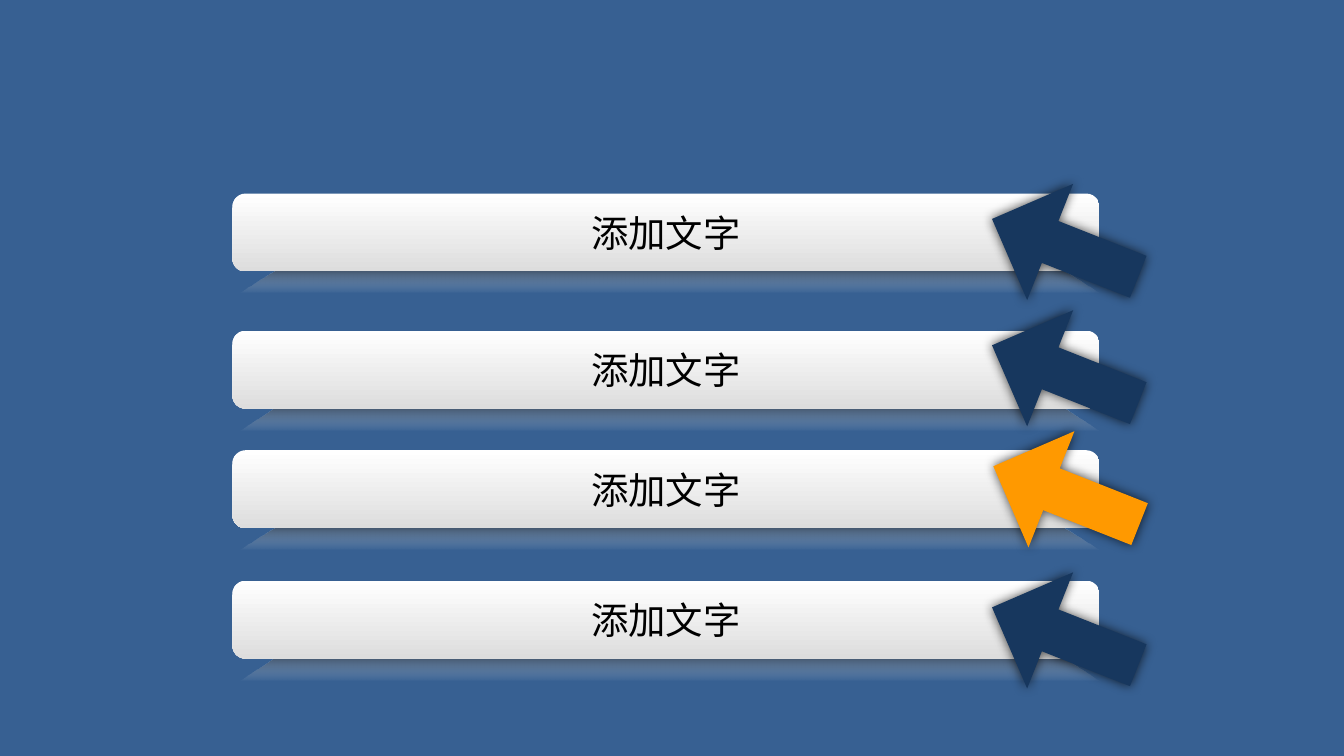
from lxml import etree
from pptx import Presentation
from pptx import util as u
from pptx.dml.color import RGBColor
from pptx.enum import shapes, text
from pptx.oxml.ns import qn

COLORS = {
    "background": "376092",
    "white": "FFFFFF",
    "silver": "DDDDDD",
    "black": "000000",
    "navy": "17375E",
    "orange": "FF9900",
}


class Deck:
    font = "Calibri"
    size = 20

    def __init__(self, width):
        self.prs = Presentation()
        self.prs.slide_width = u.Inches(width)
        self.prs.slide_height = u.Inches(width * 9 / 16)
        self.s = self.prs.slides.add_slide(self.prs.slide_layouts[6])
        self.solid(self.s.background.fill, "background")

    def color(self, name):
        return RGBColor.from_string(COLORS[name])

    def solid(self, fill, name):
        fill.solid()
        fill.fore_color.rgb = self.color(name)

    def gradient(self, sp, names, opacities=()):
        sp.fill.gradient()
        sp.fill.gradient_angle = 270
        for stop, name, position in zip(sp.fill.gradient_stops, names, (0, 1)):
            stop.color.rgb = self.color(name)
            stop.position = position
        for clr, opacity in zip(sp._element.spPr.iter(qn("a:srgbClr")), opacities):
            etree.SubElement(clr, qn("a:alpha"), val=str(opacity * 1000))

    def plain(self, sp):
        sp.line.fill.background()
        sp.shadow.inherit = False

    def reflection(self, group, left, top, width, height, inset):
        points = [(left + width, top), (left + width - inset, top + height),
                  (left + inset, top + height)]
        builder = group.shapes.build_freeform(u.Inches(left), u.Inches(top))
        builder.add_line_segments([(u.Inches(x), u.Inches(y)) for x, y in points])
        sp = builder.convert_to_shape()
        sp.rotation = 180
        self.plain(sp)
        self.gradient(sp, ("white", "black"), (0, 80))

    def bar(self, top, label):
        group = self.s.shapes.add_group_shape()
        self.reflection(group, 1.78, top + 0.5, 6.4, 0.24, 0.39)
        sp = group.shapes.add_shape(
            shapes.MSO_SHAPE.ROUNDED_RECTANGLE,
            u.Inches(1.73), u.Inches(top), u.Inches(6.45), u.Inches(0.58))
        self.plain(sp)
        self.gradient(sp, ("white", "silver"))
        tf = sp.text_frame
        tf.text = label
        tf.word_wrap = False
        tf.vertical_anchor = text.MSO_ANCHOR.MIDDLE
        p = tf.paragraphs[0]
        p.alignment = text.PP_ALIGN.CENTER
        r = p.runs[0]
        r.font.name = self.font
        r.font.size = u.Pt(self.size)
        r.font.color.rgb = self.color("black")

    def arrow(self, left, top, name):
        sp = self.s.shapes.add_shape(
            shapes.MSO_SHAPE.DOWN_ARROW,
            u.Inches(left), u.Inches(top), u.Inches(0.93), u.Inches(1.17))
        sp.adjustments[0] = 0.36
        sp.adjustments[1] = 0.5
        sp.rotation = 111.6
        self.solid(sp.fill, name)
        self.plain(sp)
        self.glow(sp)

    def glow(self, sp):
        effects = sp._element.spPr.find(qn("a:effectLst"))
        shadow = etree.SubElement(
            effects, qn("a:outerShdw"), blurRad=str(u.Pt(6)), dist="0",
            dir=str(225 * 60000), algn="ctr", rotWithShape="0")
        clr = etree.SubElement(shadow, qn("a:srgbClr"), val=COLORS["black"])
        etree.SubElement(clr, qn("a:alpha"), val="70000")


def main():
    deck = Deck(10)
    for top in (1.44, 2.46, 3.35, 4.32):
        deck.bar(top, "添加文字")
    for left, top, name in ((7.46, 2.2, "navy"), (7.46, 4.15, "navy"),
                            (7.47, 3.1, "orange"), (7.46, 1.26, "navy")):
        deck.arrow(left, top, name)
    deck.prs.save("out.pptx")


if __name__ == "__main__":
    main()
